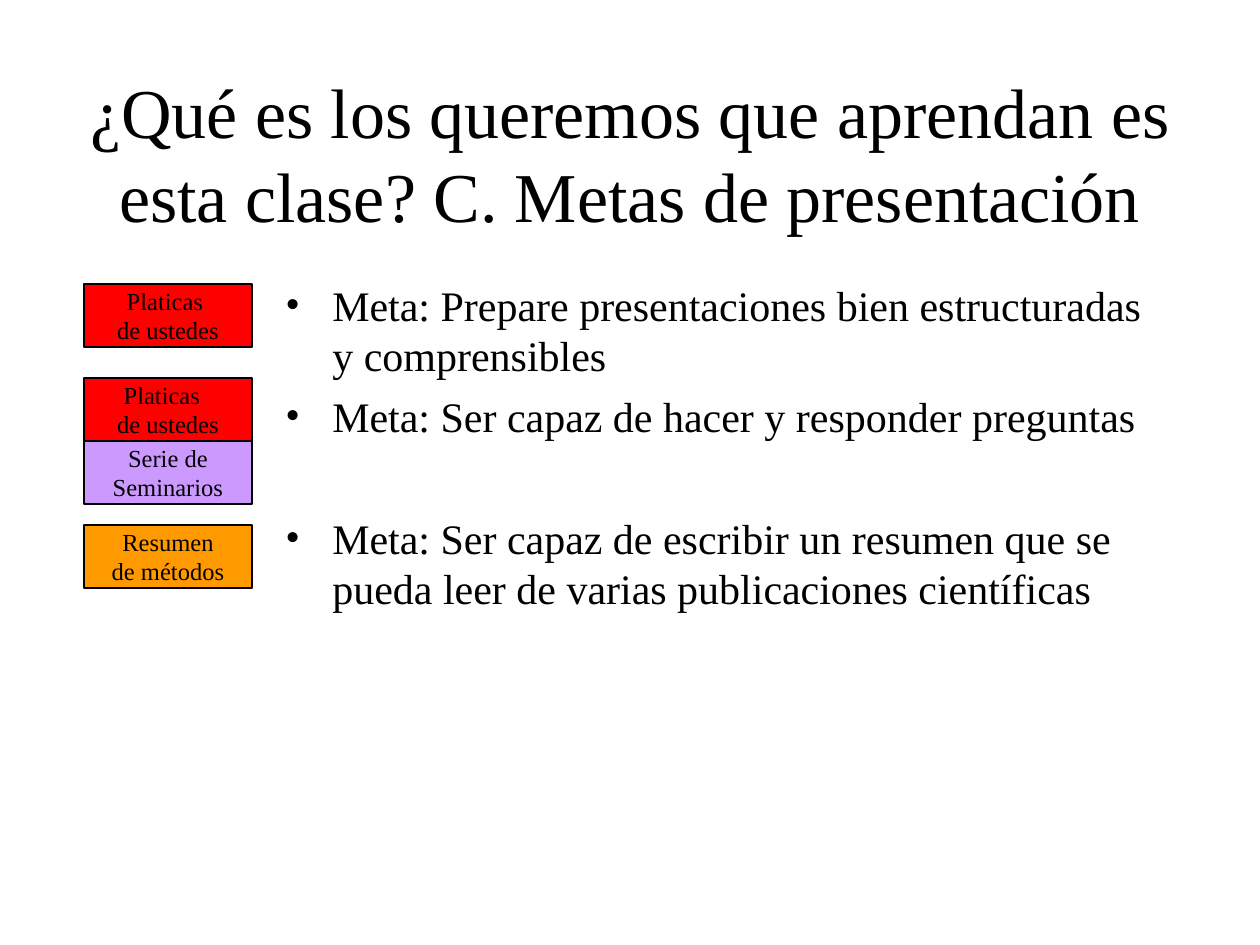
from dataclasses import dataclass

from lxml import etree
from pptx import Presentation
from pptx import util as u
from pptx.dml.color import RGBColor
from pptx.enum import shapes, text
from pptx.oxml.ns import qn

PX = 914400 / 126


@dataclass(frozen=True)
class Theme:
    font: str = "Times New Roman"
    ink: RGBColor = RGBColor(0, 0, 0)
    red: RGBColor = RGBColor(0xFF, 0, 0)
    lilac: RGBColor = RGBColor(0xCC, 0x99, 0xFF)
    orange: RGBColor = RGBColor(0xFF, 0x99, 0)
    title_size: int = 40
    goal_size: int = 24
    label_size: int = 14


theme = Theme()


def px(*lengths):
    """Turn px lengths into EMU."""
    return [u.Emu(round(length * PX)) for length in lengths]


def write(paragraph, words, size, align):
    paragraph.text = words
    paragraph.alignment = align
    paragraph.font.name = theme.font
    paragraph.font.size = u.Pt(size)
    paragraph.font.color.rgb = theme.ink


prs = Presentation()
prs.slide_width, prs.slide_height = px(1260, 945)
slide = prs.slides.add_slide(prs.slide_layouts[6])

# Title
title = slide.shapes.add_textbox(*px(63, 73, 1134, 158)).text_frame
title.word_wrap = True
title.vertical_anchor = text.MSO_ANCHOR.MIDDLE
write(title.paragraphs[0],
      "¿Qué es los queremos que aprendan es esta clase? C. Metas de presentación",
      theme.title_size, text.PP_ALIGN.CENTER)

# Goals: the last one stands apart, level with its label
goals = [
    ("Meta: Prepare presentaciones bien estructuradas y comprensibles", 6),
    ("Meta: Ser capaz de hacer y responder preguntas", 6),
    ("Meta: Ser capaz de escribir un resumen que se pueda leer de varias "
     "publicaciones científicas", 41),
]
goal_list = slide.shapes.add_textbox(*px(273, 273, 892, 567)).text_frame
goal_list.word_wrap = True
indent = px(47)[0]
for i, (goal, gap) in enumerate(goals):
    paragraph = goal_list.add_paragraph() if i else goal_list.paragraphs[0]
    write(paragraph, goal, theme.goal_size, text.PP_ALIGN.LEFT)
    paragraph.space_before = u.Pt(gap)
    properties = paragraph._p.get_or_add_pPr()
    properties.set("marL", str(indent))
    properties.set("indent", str(-indent))
    etree.SubElement(properties, qn("a:buFont"), typeface=theme.font)
    etree.SubElement(properties, qn("a:buChar"), char="•")
    # The schema wants the default run properties after the bullet
    properties.append(properties.find(qn("a:defRPr")))

# Labels of the activities that serve each goal
labels = [
    (284, theme.red, ["Platicas ", "de ustedes"]),
    (378, theme.red, ["Platicas  ", "de ustedes"]),
    (441, theme.lilac, ["Serie de", "Seminarios"]),
    (525, theme.orange, ["Resumen", "de métodos"]),
]
for top, color, lines in labels:
    label = slide.shapes.add_shape(shapes.MSO_SHAPE.RECTANGLE, *px(84, top, 168, 63))
    label.shadow.inherit = False
    label.fill.solid()
    label.fill.fore_color.rgb = color
    label.line.color.rgb = theme.ink
    label.line.width = u.Pt(0.75)
    frame = label.text_frame
    frame.word_wrap = False
    frame.vertical_anchor = text.MSO_ANCHOR.MIDDLE
    for i, line in enumerate(lines):
        paragraph = frame.add_paragraph() if i else frame.paragraphs[0]
        write(paragraph, line, theme.label_size, text.PP_ALIGN.CENTER)

prs.save("out.pptx")
